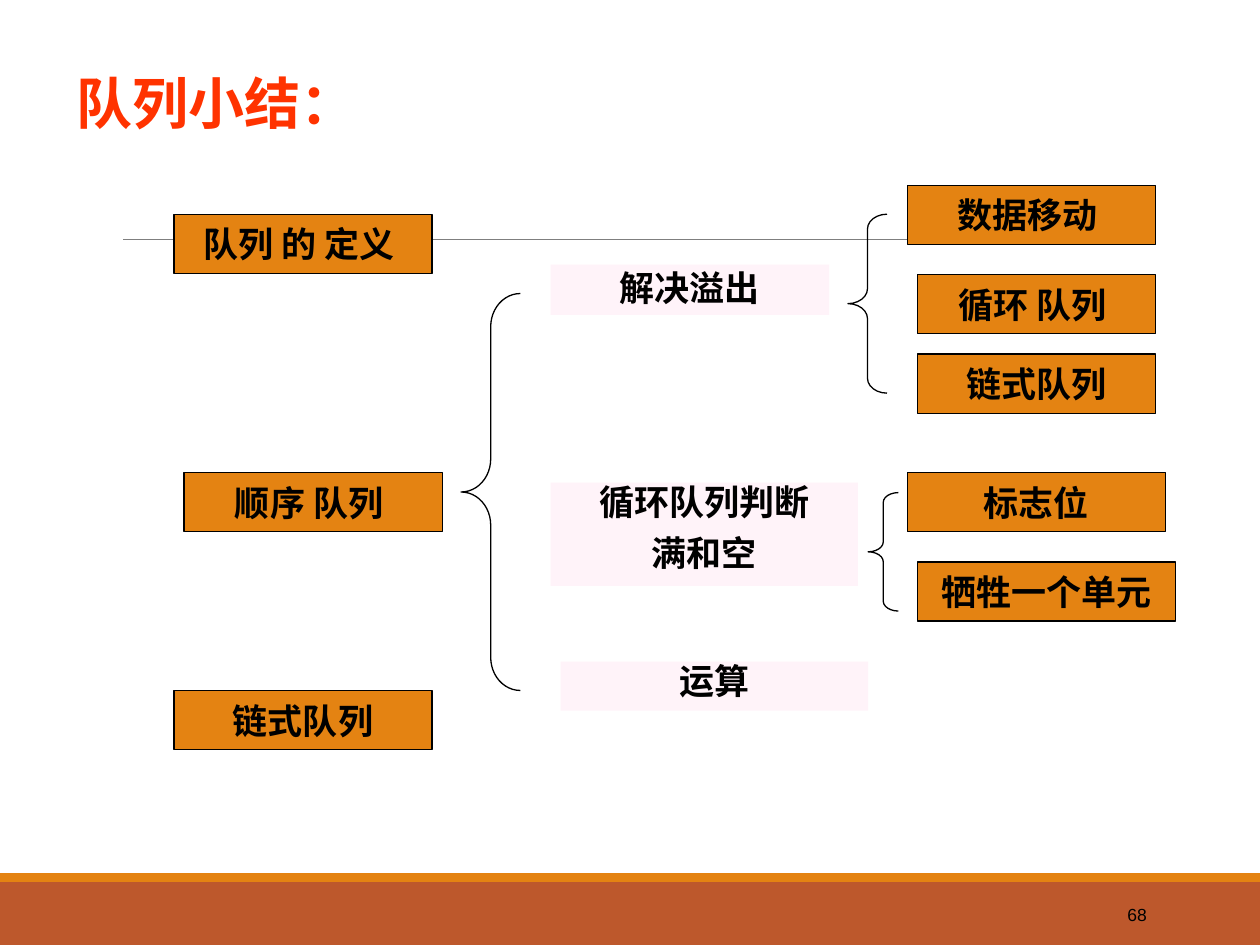
from dataclasses import dataclass

from lxml import etree
from pptx import Presentation
from pptx.dml.color import RGBColor
from pptx.enum.shapes import MSO_CONNECTOR, MSO_SHAPE
from pptx.enum.text import MSO_ANCHOR, PP_ALIGN
from pptx.oxml.ns import qn
from pptx.util import Inches, Pt

RECT, BRACE = MSO_SHAPE.RECTANGLE, MSO_SHAPE.LEFT_BRACE
STRAIGHT = MSO_CONNECTOR.STRAIGHT
TOP, MIDDLE, BOTTOM = MSO_ANCHOR.TOP, MSO_ANCHOR.MIDDLE, MSO_ANCHOR.BOTTOM
LEFT, CENTER, RIGHT = PP_ALIGN.LEFT, PP_ALIGN.CENTER, PP_ALIGN.RIGHT
CJK, LATIN, SERIF = "Noto Sans CJK SC", "Arial", "Times New Roman"
ORANGE, RUST, PINK = "E48312", "BD582C", "FFF3F9"
RED, GRAY, BLACK = "FF3300", "7F7F7F", "000000"
BOX_H = 0.47


@dataclass
class Box:
    text: str
    x: float
    y: float
    w: float = 2.05
    font: str = CJK


@dataclass
class Topic:
    lines: list[str]
    x: float
    y: float
    w: float
    h: float
    spacing: float = 0.8
    font: str = CJK


@dataclass
class Brace:
    x: float
    y: float
    w: float
    h: float


BOXES = [
    Box("链式队列", 1.38, 5.48, font=LATIN),
    Box("队列 的 定义 ", 1.38, 1.7),
    Box("链式队列", 7.28, 2.81, 1.89, LATIN),
    Box("牺牲一个单元", 7.28, 4.46),
    Box("循环 队列 ", 7.28, 2.18, 1.89),
    Box("数据移动 ", 7.2, 1.47, 1.97, LATIN),
    Box("顺序 队列 ", 1.46, 3.75),
    Box("标志位", 7.2, 3.75),
]
TOPICS = [
    Topic(["解决溢出"], 4.37, 2.1, 2.21, 0.4, 0.9),
    Topic(["循环队列判断", "满和空"], 4.37, 3.83, 2.44, 0.82),
    Topic(["运算"], 4.45, 5.25, 2.44, 0.39, font=SERIF),
]
BRACES = [
    Brace(3.66, 2.33, 0.47, 3.15),
    Brace(6.73, 1.7, 0.31, 1.42),
    Brace(6.89, 3.91, 0.24, 0.94),
]


def rgb(color: str) -> RGBColor:
    return RGBColor.from_string(color)


def style_paragraph(p, size: float, font: str, color: str = BLACK,
                    bold: bool = True, align: PP_ALIGN = CENTER) -> None:
    p.alignment = align
    p.font.size = Pt(size)
    p.font.bold = bold
    p.font.color.rgb = rgb(color)
    p.font.name = font
    props = p._p.get_or_add_pPr().find(qn("a:defRPr"))
    etree.SubElement(props, qn("a:ea")).set("typeface", CJK)


def add_panel(slide, x: float, y: float, w: float, h: float,
              fill: str, line: str | None = None):
    sp = slide.shapes.add_shape(RECT, Inches(x), Inches(y), Inches(w), Inches(h))
    sp.shadow.inherit = False
    sp.fill.solid()
    sp.fill.fore_color.rgb = rgb(fill)
    if line:
        sp.line.color.rgb = rgb(line)
        sp.line.width = Pt(0.75)
    else:
        sp.line.fill.background()
    return sp


def add_box(slide, box: Box) -> None:
    sp = add_panel(slide, box.x, box.y, box.w, BOX_H, ORANGE, BLACK)
    tf = sp.text_frame
    tf.word_wrap = False
    tf.vertical_anchor = MIDDLE
    tf.text = box.text
    style_paragraph(tf.paragraphs[0], 20, box.font)


def add_topic(slide, topic: Topic) -> None:
    sp = add_panel(slide, topic.x, topic.y, topic.w, topic.h, PINK)
    tf = sp.text_frame
    tf.word_wrap = True
    tf.vertical_anchor = TOP
    tf.text = "\n".join(topic.lines)
    for p in tf.paragraphs:
        p.line_spacing = topic.spacing
        p.space_before = Pt(10)
        style_paragraph(p, 20, topic.font)


def add_brace(slide, brace: Brace) -> None:
    sp = slide.shapes.add_shape(BRACE, Inches(brace.x), Inches(brace.y),
                                Inches(brace.w), Inches(brace.h))
    sp.shadow.inherit = False
    sp.adjustments[0] = brace.h / (12 * brace.w)
    sp.fill.background()
    sp.line.color.rgb = rgb(BLACK)
    sp.line.width = Pt(0.75)


def add_rule(slide, x1: float, x2: float, y: float) -> None:
    line = slide.shapes.add_connector(STRAIGHT, Inches(x1), Inches(y),
                                      Inches(x2), Inches(y))
    line.line.color.rgb = rgb(GRAY)
    line.line.width = Pt(0.5)
    etree.SubElement(line._element.spPr, qn("a:effectLst"))


def set_title(slide, text: str) -> None:
    title = slide.shapes.title
    title.left, title.top = Inches(0.51), Inches(0.44)
    title.width, title.height = Inches(9), Inches(0.69)
    tf = title.text_frame
    tf.vertical_anchor = BOTTOM
    tf.text = text
    p = tf.paragraphs[0]
    p.line_spacing = 0.85
    style_paragraph(p, 32, CJK, RED, align=LEFT)


def add_page_number(slide, text: str) -> None:
    sp = slide.shapes.add_textbox(Inches(8.12), Inches(7.06),
                                  Inches(1.08), Inches(0.4))
    tf = sp.text_frame
    tf.word_wrap = True
    tf.vertical_anchor = MIDDLE
    tf.text = text
    style_paragraph(tf.paragraphs[0], 10, LATIN, bold=False, align=RIGHT)


def main() -> None:
    prs = Presentation()
    prs.slide_width, prs.slide_height = Inches(10), Inches(7.5)
    slide = prs.slides.add_slide(prs.slide_layouts[5])
    set_title(slide, "队列小结：")
    add_panel(slide, 0, 7, 10, 0.5, RUST)
    add_panel(slide, 0, 6.93, 10, 0.07, ORANGE)
    add_rule(slide, 0.98, 9.15, 1.9)
    add_page_number(slide, "68")
    for box in BOXES:
        add_box(slide, box)
    for topic in TOPICS:
        add_topic(slide, topic)
    for brace in BRACES:
        add_brace(slide, brace)
    prs.save("out.pptx")


if __name__ == "__main__":
    main()
